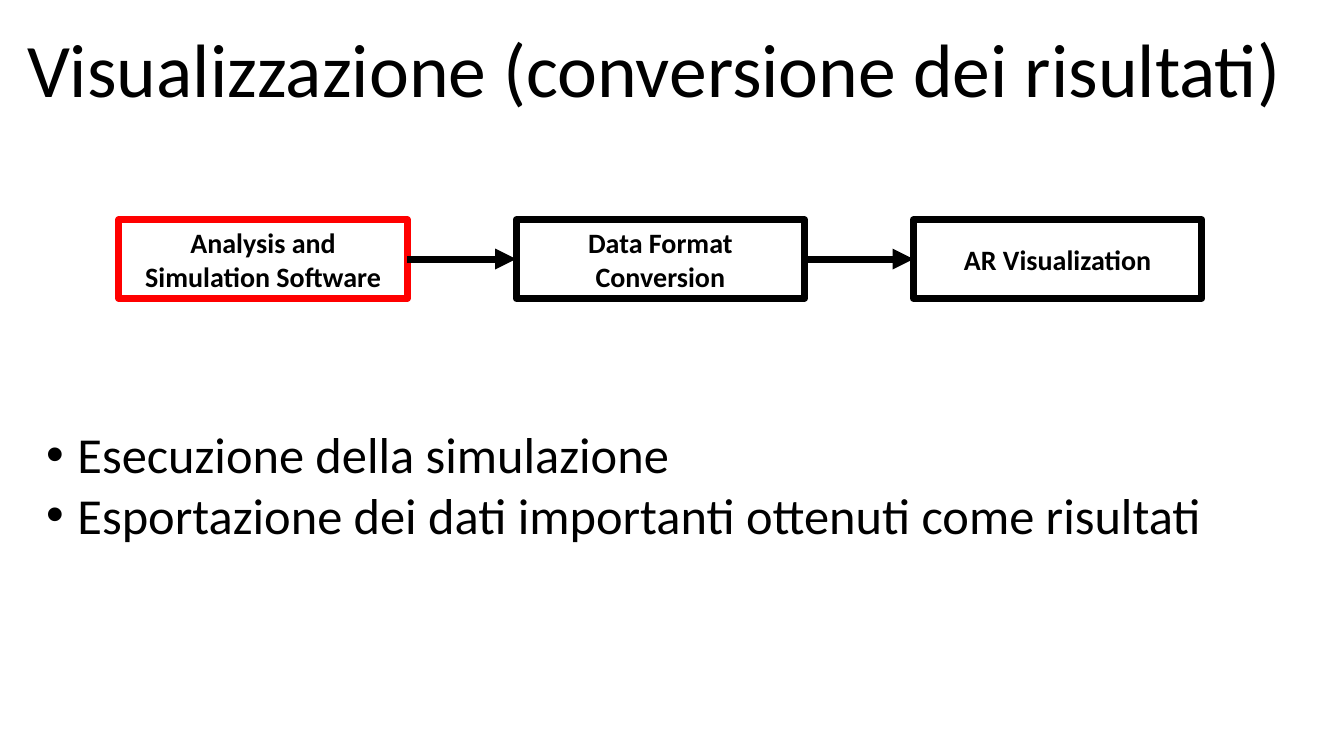
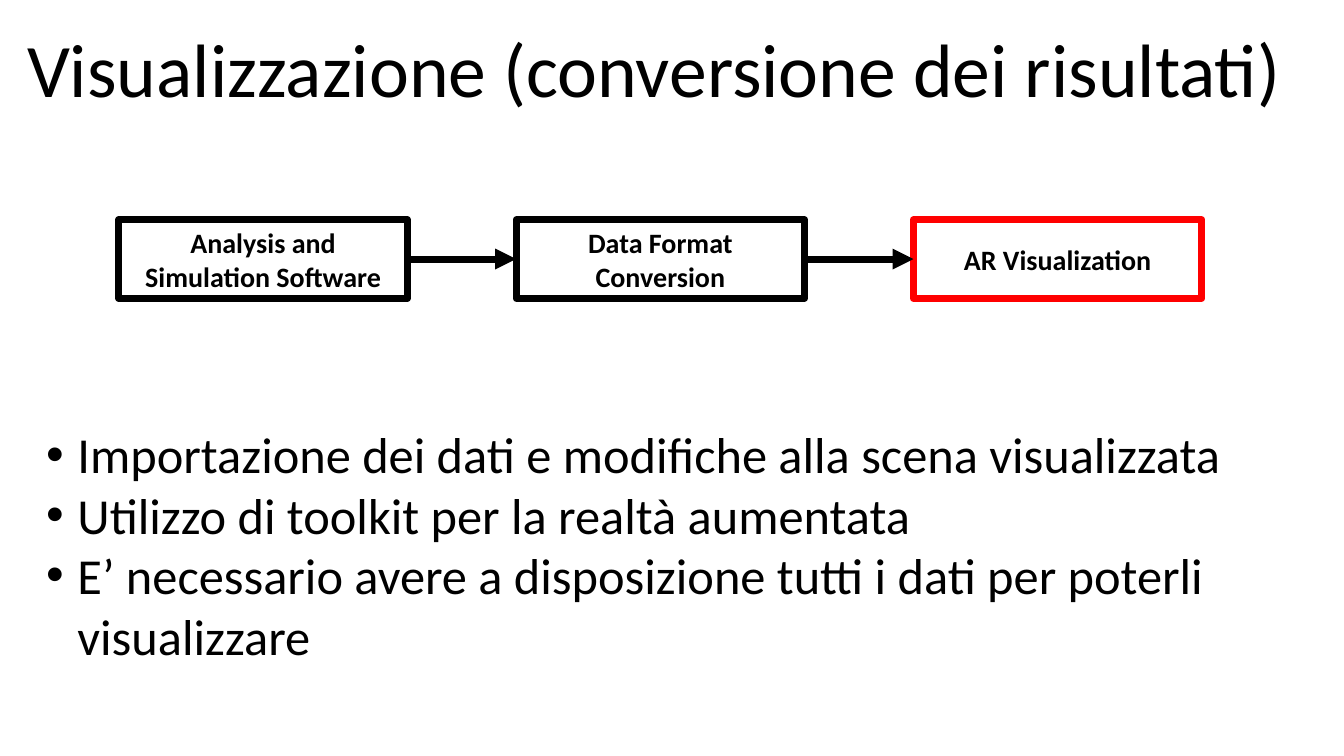
from dataclasses import dataclass

from lxml.etree import SubElement
from pptx import Presentation
from pptx.dml.color import RGBColor
from pptx.enum.shapes import MSO_CONNECTOR as Connector, MSO_SHAPE as Preset
from pptx.enum.text import MSO_ANCHOR as Anchor, MSO_AUTO_SIZE as AutoSize, PP_ALIGN as Align
from pptx.oxml.ns import qn
from pptx.shapes.autoshape import Shape
from pptx.slide import Slide
from pptx.util import Emu, Pt

EMU_PER_PX = 9144
FONT = "Calibri"
COLORS = {"ink": "000000", "highlight": "FF0000", "page": "FFFFFF"}
LINE_WIDTH = Pt(5)

TITLE = "Visualizzazione (conversione dei risultati)"
STAGES = (
    ("Analysis and", "Simulation Software"),
    ("Data Format", "Conversion"),
    ("AR Visualization",),
)
STAGE_LEFT, STAGE_TOP, STAGE_WIDTH, STAGE_HEIGHT = 118, 218, 286, 78
STAGE_GAP = 108
BULLET_INDENT = 31


@dataclass(frozen=True)
class Area:
    left: int
    top: int
    width: int
    height: int

    def lengths(self) -> tuple[Emu, Emu, Emu, Emu]:
        return px(self.left), px(self.top), px(self.width), px(self.height)


@dataclass(frozen=True)
class Page:
    active_stage: int
    bullets: tuple[str, ...]
    bullets_height: int


TITLE_AREA = Area(17, 17, 1277, 101)
PAGES = (
    Page(
        0,
        (
            "Esecuzione della simulazione",
            "Esportazione dei dati importanti ottenuti come risultati",
        ),
        131,
    ),
    Page(
        2,
        (
            "Importazione dei dati e modifiche alla scena visualizzata",
            "Utilizzo di toolkit per la realtà aumentata",
            "E’ necessario avere a disposizione tutti i dati per poterli visualizzare",
        ),
        252,
    ),
)


def px(length: int) -> Emu:
    return Emu(length * EMU_PER_PX)


def color(name: str) -> RGBColor:
    return RGBColor.from_string(COLORS[name])


def write(shape: Shape, lines: tuple[str, ...], size: int, bold: bool = False,
          align: Align = Align.LEFT) -> None:
    frame = shape.text_frame
    frame.text = "\n".join(lines)
    for para in frame.paragraphs:
        para.alignment = align
        para.font.name = FONT
        para.font.size = Pt(size)
        para.font.bold = bold
        para.font.color.rgb = color("ink")


def add_text(slide: Slide, area: Area, lines: tuple[str, ...], size: int, wrap: bool) -> Shape:
    box = slide.shapes.add_textbox(*area.lengths())
    box.text_frame.word_wrap = wrap
    box.text_frame.auto_size = AutoSize.SHAPE_TO_FIT_TEXT
    write(box, lines, size)
    return box


def add_bullets(slide: Slide, page: Page) -> None:
    area = Area(36, 415, 1261, page.bullets_height)
    box = add_text(slide, area, page.bullets, 36, True)
    for para in box.text_frame.paragraphs:
        properties = para._p.get_or_add_pPr()
        properties.set("marL", str(px(BULLET_INDENT)))
        properties.set("indent", str(px(-BULLET_INDENT)))
        font = SubElement(properties, qn("a:buFont"))
        font.set("typeface", "Arial")
        bullet = SubElement(properties, qn("a:buChar"))
        bullet.set("char", "•")


def add_stage(slide: Slide, index: int, active: bool) -> Shape:
    left = STAGE_LEFT + index * (STAGE_WIDTH + STAGE_GAP)
    area = Area(left, STAGE_TOP, STAGE_WIDTH, STAGE_HEIGHT)
    box = slide.shapes.add_shape(Preset.RECTANGLE, *area.lengths())
    box.shadow.inherit = False
    box.fill.background()
    box.line.color.rgb = color("highlight" if active else "ink")
    box.line.width = LINE_WIDTH
    box.text_frame.word_wrap = True
    box.text_frame.vertical_anchor = Anchor.MIDDLE
    write(box, STAGES[index], 20, True, Align.CENTER)
    return box


def add_arrow(slide: Slide, source: Shape, target: Shape) -> None:
    arrow = slide.shapes.add_connector(Connector.STRAIGHT, 0, 0, 0, 0)
    arrow.begin_connect(source, 3)
    arrow.end_connect(target, 1)
    arrow.line.color.rgb = color("ink")
    arrow.line.width = LINE_WIDTH
    head = SubElement(arrow.line._get_or_add_ln(), qn("a:tailEnd"))
    head.set("type", "triangle")
    SubElement(arrow._element.spPr, qn("a:effectLst"))


def add_page(deck: Presentation, page: Page) -> None:
    slide = deck.slides.add_slide(deck.slide_layouts[6])
    slide.background.fill.solid()
    slide.background.fill.fore_color.rgb = color("page")
    add_text(slide, TITLE_AREA, (TITLE,), 54, False)
    boxes = [add_stage(slide, index, index == page.active_stage) for index in range(len(STAGES))]
    for source, target in zip(boxes, boxes[1:]):
        add_arrow(slide, source, target)
    add_bullets(slide, page)


def main() -> None:
    deck = Presentation()
    deck.slide_width = px(1333)
    deck.slide_height = px(750)
    for page in PAGES:
        add_page(deck, page)
    deck.save("out.pptx")


if __name__ == "__main__":
    main()
